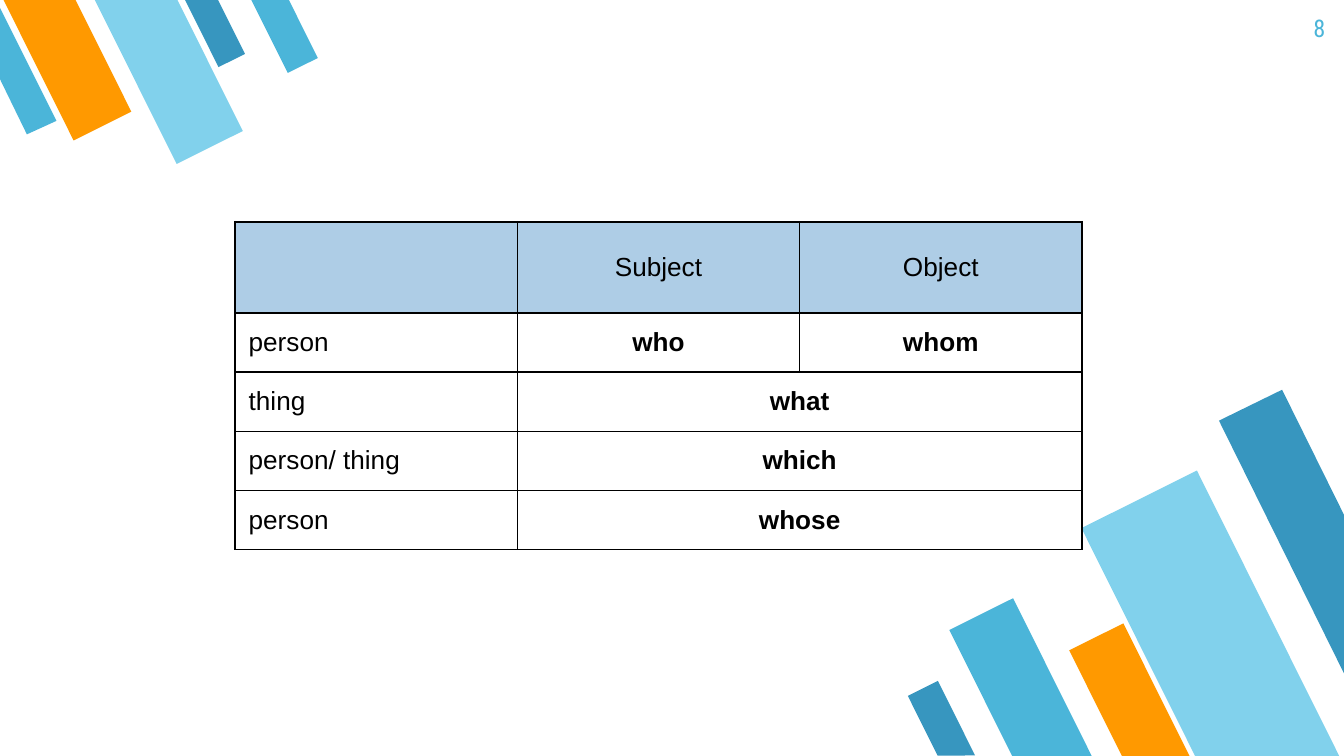
"""Build the relative pronoun table slide with its diagonal bars."""
from typing import NamedTuple

from lxml.etree import SubElement
from pptx import Presentation
from pptx.dml.color import RGBColor
from pptx.enum.shapes import MSO_SHAPE
from pptx.enum.text import MSO_ANCHOR, PP_ALIGN
from pptx.oxml import parse_xml
from pptx.oxml.ns import nsdecls, qn
from pptx.util import Inches, Pt

SKY, PALE, ORANGE, BLUE = "4BB5D9", "81D1EC", "FF9900", "3796BF"
HEADER, BLACK = "AECDE6", "000000"
LOWER_ANGLE, UPPER_ANGLE = 153.5, 333.5


class Bar(NamedTuple):
    left: float
    top: float
    width: float
    height: float
    angle: float
    color: str


class ClippedBar(NamedTuple):
    points: list[tuple[float, float]]
    color: str


BARS = [
    Bar(7.33, 4.5, 0.53, 1.32, LOWER_ANGLE, SKY),
    Bar(8.53, 3.59, 0.96, 2.39, LOWER_ANGLE, PALE),
    Bar(8.18, 4.68, 0.45, 1.11, LOWER_ANGLE, ORANGE),
    Bar(6.88, 5.09, 0.25, 0.62, LOWER_ANGLE, BLUE),
    Bar(1.49, -0.08, 0.22, 0.56, UPPER_ANGLE, BLUE),
    Bar(0.26, -0.18, 0.48, 1.18, UPPER_ANGLE, ORANGE),
    Bar(0.98, -0.2, 0.55, 1.37, UPPER_ANGLE, PALE),
    Bar(1.99, -0.1, 0.25, 0.62, UPPER_ANGLE, SKY),
]
CLIPPED_BARS = [
    ClippedBar([(9.54, 2.9), (9.07, 3.13), (10, 5.01), (10, 3.83)], BLUE),
    ClippedBar([(0.2, 1), (0.42, 0.9), (0, 0.06), (0, 0.59)], SKY),
]
ROWS = [
    ["", "Subject", "Object"],
    ["person", "who", "whom"],
    ["thing", "what"],
    ["person/ thing", "which"],
    ["person", "whose"],
]


def paint(target, color: str) -> None:
    """Give a shape, cell or font a solid colour."""
    target.fill.solid()
    target.fill.fore_color.rgb = RGBColor.from_string(color)


def finish_bar(shape, color: str) -> None:
    """Fill a bar and remove its outline and shadow."""
    paint(shape, color)
    shape.line.fill.background()
    shape.shadow.inherit = False


def add_bar(page, bar: Bar) -> None:
    """Draw one mirrored, rotated bar."""
    shape = page.shapes.add_shape(
        MSO_SHAPE.FLOWCHART_MANUAL_INPUT,
        Inches(bar.left), Inches(bar.top), Inches(bar.width), Inches(bar.height))
    shape.rotation = bar.angle
    shape._element.spPr.find(qn("a:xfrm")).set("flipH", "1")
    finish_bar(shape, bar.color)


def add_clipped_bar(page, bar: ClippedBar) -> None:
    """Draw one bar cut off by the page edge."""
    first, *others = [(Inches(x), Inches(y)) for x, y in bar.points]
    builder = page.shapes.build_freeform(*first)
    builder.add_line_segments(others, close=True)
    finish_bar(builder.convert_to_shape(), bar.color)


def format_text(frame, font: str, size: float, color: str, align, bold: bool = False) -> None:
    """Style the runs of a text frame."""
    for paragraph in frame.paragraphs:
        paragraph.alignment = align
        for span in paragraph.runs:
            span.font.name, span.font.size, span.font.bold = font, Pt(size), bold
            paint(span.font, color)


def set_borders(cell) -> None:
    """Put a black one-point line on each side of a cell."""
    properties = cell._tc.get_or_add_tcPr()
    for index, side in enumerate(("lnL", "lnR", "lnT", "lnB")):
        line = parse_xml(f'<a:{side} {nsdecls("a")} w="{Pt(1)}"/>')
        fill = SubElement(line, qn("a:solidFill"))
        SubElement(fill, qn("a:srgbClr")).set("val", BLACK)
        properties.insert(index, line)


def set_margins(target) -> None:
    """Use equal inner margins of a tenth of an inch."""
    target.margin_left = target.margin_right = Inches(0.1)
    target.margin_top = target.margin_bottom = Inches(0.1)


def add_pronoun_table(page) -> None:
    """Draw the table, merging the last two columns where a row is short."""
    table = page.shapes.add_table(
        len(ROWS), 3, Inches(1.75), Inches(1.65), Inches(6.3), Inches(2.44)).table
    table.first_row = table.horz_banding = False
    for row_index, words in enumerate(ROWS):
        table.rows[row_index].height = Inches(0.44 if row_index else 0.68)
        if len(words) == 2:
            table.cell(row_index, 1).merge(table.cell(row_index, 2))
        for column in range(3):
            cell = table.cell(row_index, column)
            if row_index:
                cell.fill.background()
            else:
                paint(cell, HEADER)
            set_borders(cell)
            if cell.is_spanned:
                continue
            set_margins(cell)
            cell.vertical_anchor = MSO_ANCHOR.MIDDLE
            cell.text_frame.text = words[column]
            format_text(cell.text_frame, "Arial", 14, BLACK,
                        PP_ALIGN.CENTER if column else PP_ALIGN.LEFT,
                        bool(row_index and column))


def add_page_number(page) -> None:
    """Write the page number in the upper right corner."""
    box = page.shapes.add_textbox(Inches(9.36), Inches(0), Inches(0.6), Inches(0.43))
    box.text_frame.word_wrap = True
    set_margins(box.text_frame)
    box.text_frame.text = "8"
    format_text(box.text_frame, "Roboto Condensed", 13, SKY, PP_ALIGN.RIGHT)


def main() -> None:
    """Build and save the deck."""
    deck = Presentation()
    deck.slide_width = Inches(10)
    deck.slide_height = deck.slide_width * 9 // 16
    page = deck.slides.add_slide(deck.slide_layouts[6])
    for bar in BARS:
        add_bar(page, bar)
    for clipped_bar in CLIPPED_BARS:
        add_clipped_bar(page, clipped_bar)
    add_page_number(page)
    add_pronoun_table(page)
    deck.save("out.pptx")


main()
